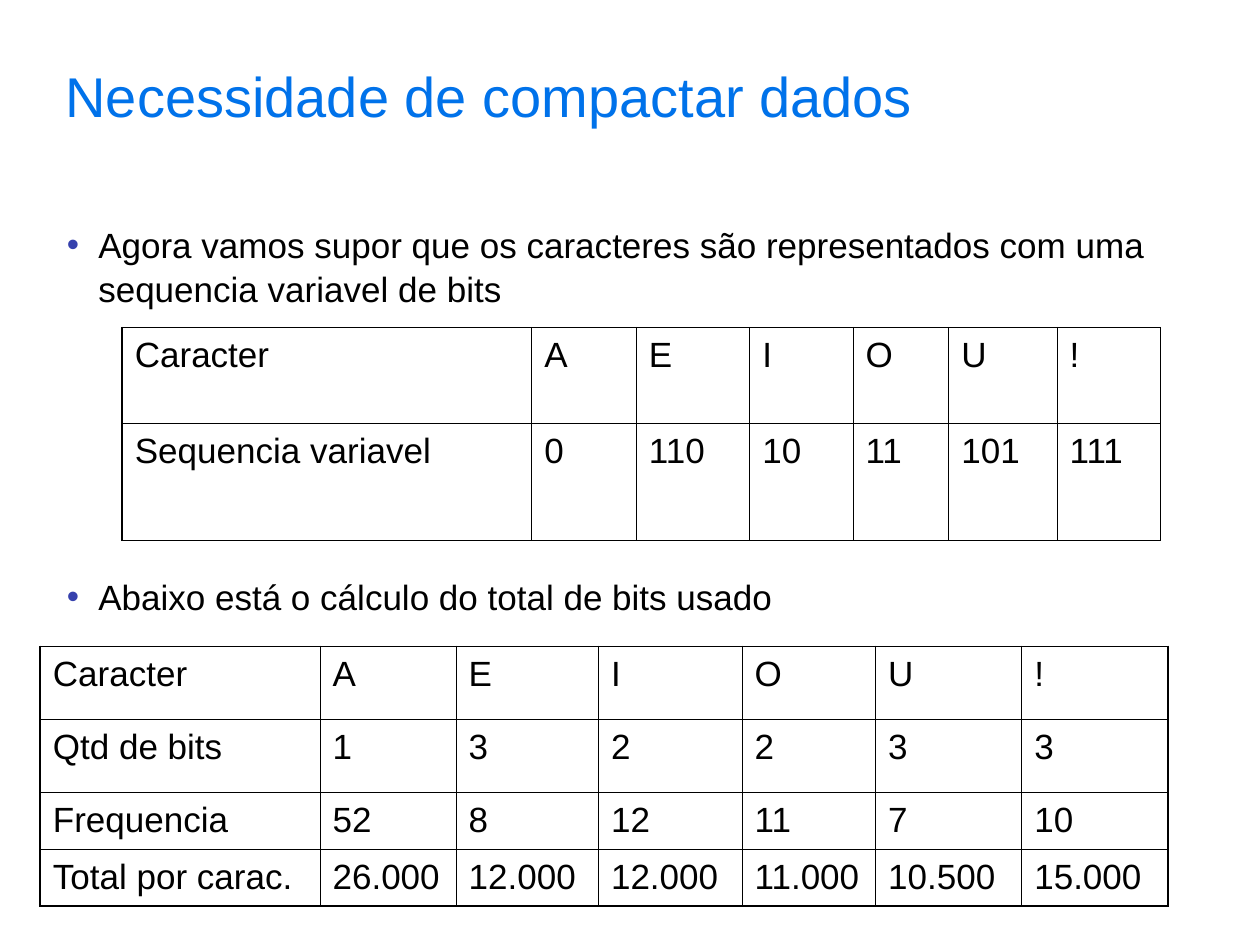
from pptx import Presentation
from pptx.dml.color import RGBColor
from pptx.enum.text import MSO_ANCHOR, MSO_AUTO_SIZE, PP_ALIGN
from pptx.oxml.ns import qn
from pptx.util import Inches, Pt
from lxml import etree

TOP = MSO_ANCHOR.TOP
LEFT = PP_ALIGN.LEFT
NO_FIT = MSO_AUTO_SIZE.NONE
COLORS = {"title": "0072EA", "text": "000000", "dot": "3641AD", "line": "000000"}
THIN, THICK = 0.45, 1.08


def write(para, text, size=20, color="text", lead=1.05, before=12.5, after=12.5):
    """Put formatted text into a paragraph."""
    para.alignment = LEFT
    para.line_spacing = lead
    para.space_before, para.space_after = Pt(before), Pt(after)
    run = para.add_run()
    run.text = text
    run.font.name = "Arial"
    run.font.size = Pt(size)
    run.font.color.rgb = RGBColor.from_string(COLORS[color])


def add_color(node, color):
    etree.SubElement(node, qn("a:srgbClr"), val=COLORS[color])


class Page:
    def __init__(self, deck):
        self.slide = deck.slides.add_slide(deck.slide_layouts[1])

    def place(self, holder, left, top, width, height):
        holder.left, holder.top = Inches(left), Inches(top)
        holder.width, holder.height = Inches(width), Inches(height)
        frame = holder.text_frame
        frame.word_wrap = True
        frame.auto_size = NO_FIT
        frame.vertical_anchor = TOP
        return frame

    def title(self, text, *box):
        frame = self.place(self.slide.shapes.title, *box)
        write(frame.paragraphs[0], text, size=32, color="title",
              lead=0.9, before=0, after=0)

    def bullets(self, items, *box):
        """Items are pairs of text and space before, in points."""
        frame = self.place(self.slide.placeholders[1], *box)
        for i, (text, gap) in enumerate(items):
            para = frame.add_paragraph() if i else frame.paragraphs[0]
            write(para, text, before=gap)
            props = para._p.get_or_add_pPr()
            props.set("marL", str(Inches(0.25)))
            props.set("indent", str(-Inches(0.25)))
            add_color(etree.SubElement(props, qn("a:buClr")), "dot")
            etree.SubElement(props, qn("a:buFont"), typeface="Arial")
            etree.SubElement(props, qn("a:buChar"), char="•")

    def border(self, cell, sides):
        props = cell._tc.get_or_add_tcPr()
        for side, width in sides.items():
            line = etree.SubElement(props, qn(f"a:ln{side}"), w=str(Pt(width)))
            add_color(etree.SubElement(line, qn("a:solidFill")), "line")

    def table(self, rows, left, top, widths, heights):
        """Draw a grid with thin inner lines and a thick outer frame."""
        last_row, last_col = len(heights) - 1, len(widths) - 1
        table = self.slide.shapes.add_table(
            len(heights), len(widths), Inches(left), Inches(top),
            Inches(sum(widths)), Inches(sum(heights))).table
        table.first_row = table.horz_banding = False
        for col, width in zip(table.columns, widths):
            col.width = Inches(width)
        for row, height in zip(table.rows, heights):
            row.height = Inches(height)
        for r, row in enumerate(rows):
            for c, text in enumerate(row):
                cell = table.cell(r, c)
                write(cell.text_frame.paragraphs[0], text)
                outer = {"L": c == 0, "R": c == last_col,
                         "T": r == 0, "B": r == last_row}
                self.border(cell, {side: THICK if edge else THIN
                                   for side, edge in outer.items()})
                cell.fill.background()


def main():
    deck = Presentation()
    deck.slide_width, deck.slide_height = Inches(10), Inches(7.5)
    page = Page(deck)

    # Title and list
    page.title("Necessidade de compactar dados", 0.42, 0.5, 8.47, 1.06)
    page.bullets([
        ("Agora vamos supor que os caracteres são representados com uma "
         "sequencia variavel de bits", 12.5),
        ("Abaixo está o cálculo do total de bits usado", 138),
    ], 0.43, 1.71, 8.85, 4.81)

    # Code of each letter
    head = ["Caracter", *"AEIOU!"]
    page.table([
        head,
        ["Sequencia variavel", "0", "110", "10", "11", "101", "111"],
    ], 0.97, 2.6, [3.25, 0.83, 0.9, 0.82, 0.76, 0.86, 0.82], [0.76, 0.93])

    # Total of bits
    page.table([
        head,
        ["Qtd de bits", *"132233"],
        ["Frequencia", "52", "8", "12", "11", "7", "10"],
        ["Total por carac.", "26.000", "12.000", "12.000", "11.000",
         "10.500", "15.000"],
    ], 0.32, 5.13, [2.22, 1.08, 1.13, 1.14, 1.06, 1.16, 1.16],
        [0.58, 0.58, 0.45, 0.45])

    deck.save("out.pptx")


if __name__ == "__main__":
    main()
